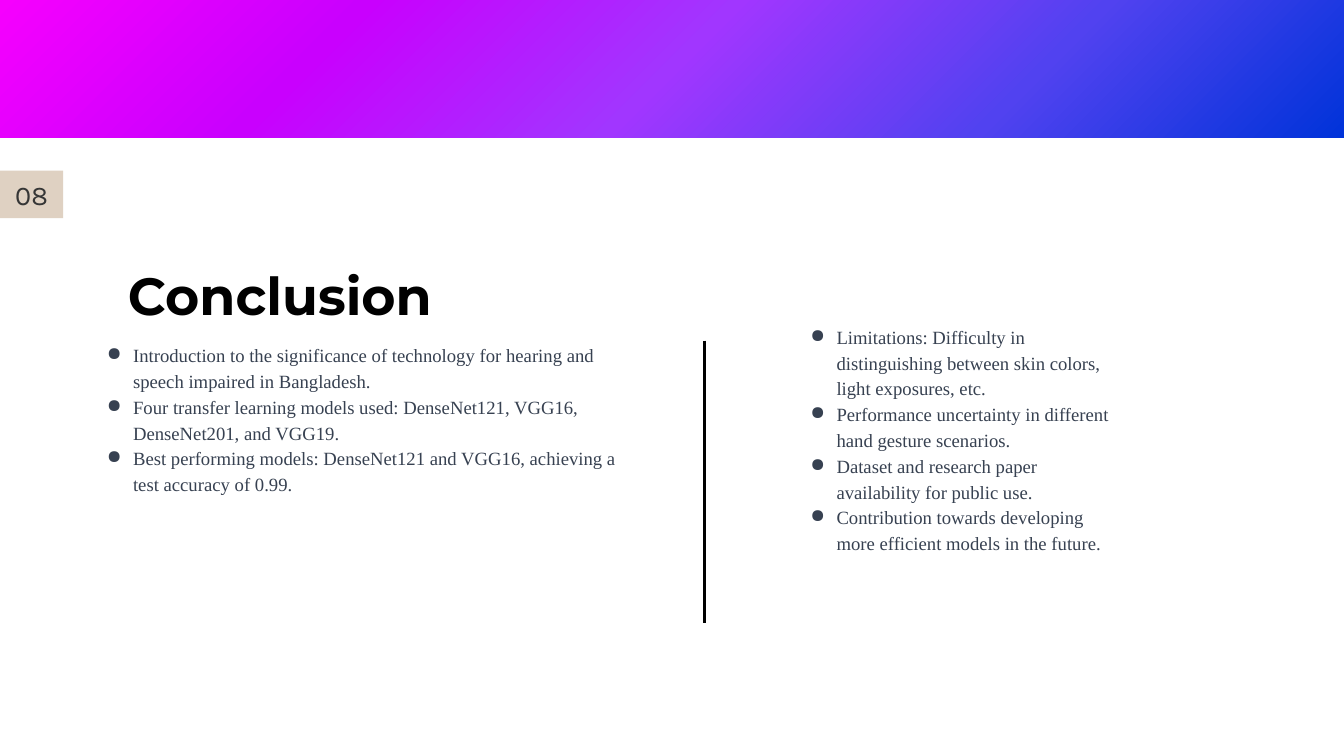
from lxml import etree
from pptx import Presentation
from pptx.dml.color import RGBColor
from pptx.enum.shapes import MSO_CONNECTOR, MSO_SHAPE
from pptx.enum.text import MSO_ANCHOR, MSO_AUTO_SIZE, PP_ALIGN
from pptx.oxml.ns import qn
from pptx.util import Cm, Pt

BLACK = RGBColor(0x00, 0x00, 0x00)
SLATE = RGBColor(0x37, 0x41, 0x51)
CHARCOAL = RGBColor(0x36, 0x36, 0x36)
SAND = RGBColor(0xDF, 0xD1, 0xC2)
BAND_COLORS = [
    RGBColor(0xF6, 0x00, 0xFE),
    RGBColor(0xC9, 0x00, 0xFE),
    RGBColor(0xA1, 0x36, 0xFF),
    RGBColor(0x51, 0x42, 0xF0),
    RGBColor(0x00, 0x33, 0xD9),
]

FINDINGS = [
    "Introduction to the significance of technology for hearing and speech impaired in Bangladesh.",
    "Four transfer learning models used: DenseNet121, VGG16, DenseNet201, and VGG19.",
    "Best performing models: DenseNet121 and VGG16, achieving a test accuracy of 0.99.",
]
OUTLOOK = [
    "Limitations: Difficulty in distinguishing between skin colors, light exposures, etc.",
    "Performance uncertainty in different hand gesture scenarios.",
    "Dataset and research paper availability for public use.",
    "Contribution towards developing more efficient models in the future.",
]


def add_text(slide, lines, left, top, width, height, font, size, color, spacing):
    """Add a text box without margins, one paragraph per line, and return its frame."""
    box = slide.shapes.add_textbox(Cm(left), Cm(top), Cm(width), Cm(height))
    frame = box.text_frame
    frame.word_wrap = True
    frame.auto_size = MSO_AUTO_SIZE.SHAPE_TO_FIT_TEXT
    frame.margin_left = frame.margin_top = frame.margin_right = frame.margin_bottom = 0
    frame.text = "\n".join(lines)
    for para in frame.paragraphs:
        para.line_spacing = spacing
        para.font.name = font
        for span in para.runs:
            span.font.name = font
            span.font.size = Pt(size)
            span.font.color.rgb = color
    return frame


def add_bullets(frame, color):
    frame.paragraphs[0].space_before = Pt(15)
    for para in frame.paragraphs:
        props = para._p.get_or_add_pPr()
        props.set("marL", str(Cm(1.27)))
        props.set("indent", str(-Cm(0.99)))
        # The schema wants the bullet after the spacing and before the default run format.
        for default in props.findall(qn("a:defRPr")):
            props.remove(default)
        bullet_color = etree.SubElement(props, qn("a:buClr"))
        etree.SubElement(bullet_color, qn("a:srgbClr"), val=str(color))
        etree.SubElement(props, qn("a:buChar"), char="●")


deck = Presentation()
deck.slide_width = Cm(50.8)
deck.slide_height = Cm(28.58)
slide = deck.slides.add_slide(deck.slide_layouts[6])

# Title and the two columns
title = add_text(slide, ["Conclusion"], 4.83, 9.02, 23.32, 2.39, "Montserrat", 56, BLACK, 1.4)
title.paragraphs[0].runs[0].font.bold = True

for lines, left, top, width, height in [
    (OUTLOOK, 30.35, 12.19, 11.99, 10.24),
    (FINDINGS, 3.76, 12.88, 19.99, 7.29),
]:
    column = add_text(slide, lines, left, top, width, height, "Times New Roman", 20, SLATE, 1.15)
    add_bullets(column, SLATE)

# Gradient band spreading from the top left corner
band = slide.shapes.add_shape(MSO_SHAPE.RECTANGLE, 0, 0, deck.slide_width, Cm(5.21))
band.shadow.inherit = False
band.line.fill.background()
band.fill.gradient()
gradient = band.fill._xPr.find(qn("a:gradFill"))
for child in list(gradient):
    gradient.remove(child)
stops = etree.SubElement(gradient, qn("a:gsLst"))
for index, color in enumerate(BAND_COLORS):
    stop = etree.SubElement(stops, qn("a:gs"), pos=str(index * 25000))
    etree.SubElement(stop, qn("a:srgbClr"), val=str(color))
spread = etree.SubElement(gradient, qn("a:path"))
spread.set("path", "circle")
etree.SubElement(spread, qn("a:fillToRect"), r="100000", b="100000")

# Divider between the columns
divider = slide.shapes.add_connector(
    MSO_CONNECTOR.STRAIGHT, Cm(26.62), Cm(12.88), Cm(26.62), Cm(23.57)
)
divider.line.color.rgb = BLACK
divider.line.width = Pt(3)
etree.SubElement(divider._element.spPr, qn("a:effectLst"))

# Page number
tab = slide.shapes.add_shape(MSO_SHAPE.RECTANGLE, 0, Cm(6.45), Cm(2.39), Cm(1.8))
tab.shadow.inherit = False
tab.fill.solid()
tab.fill.fore_color.rgb = SAND
tab.line.fill.background()
frame = tab.text_frame
frame.margin_left = frame.margin_top = frame.margin_right = Cm(0.25)
frame.margin_bottom = Cm(0.25)
frame.vertical_anchor = MSO_ANCHOR.MIDDLE
frame.text = "08"
number = frame.paragraphs[0]
number.alignment = PP_ALIGN.CENTER
span = number.runs[0]
span.font.name = "Karla"
span.font.size = Pt(29)
span.font.color.rgb = CHARCOAL

deck.save("out.pptx")
